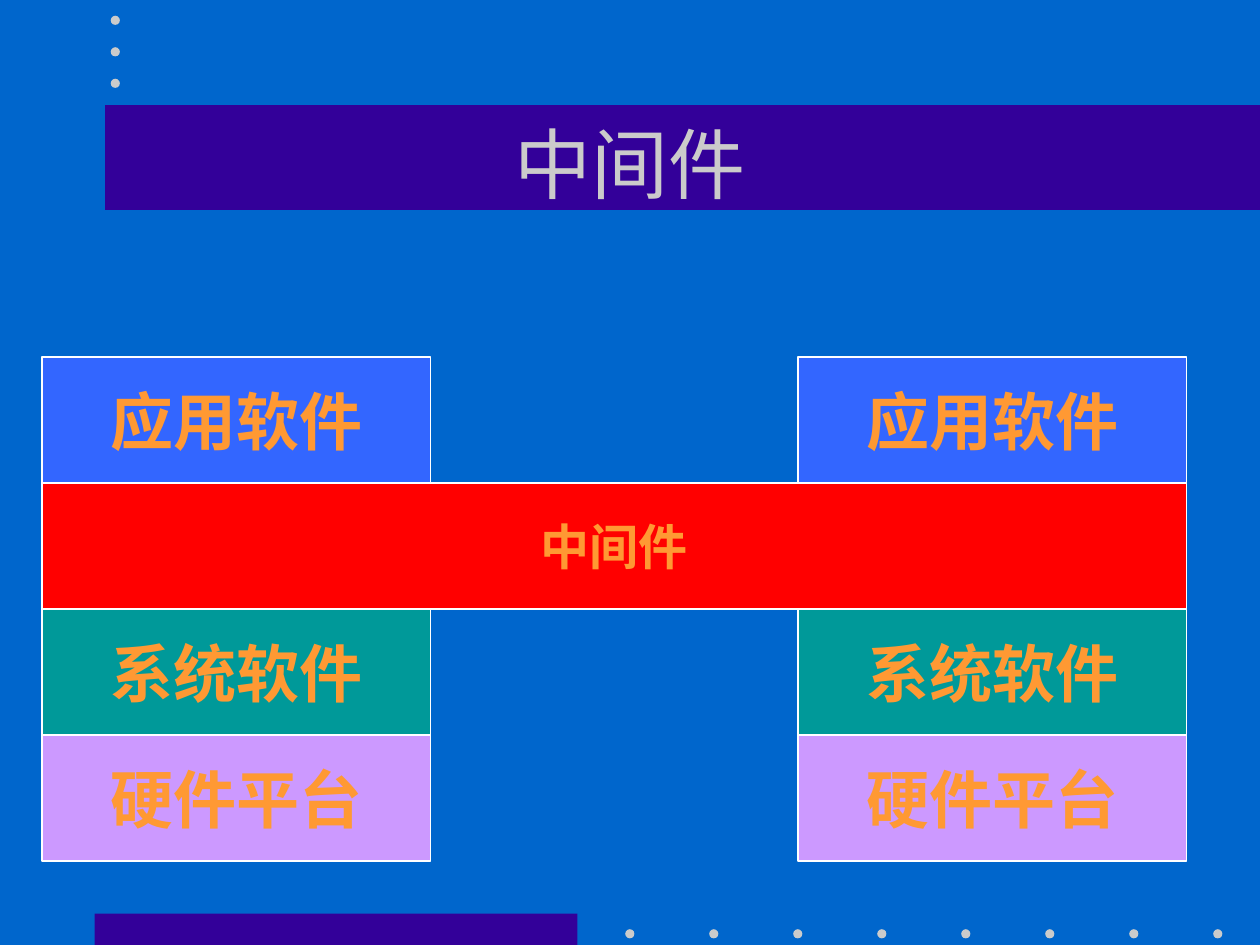
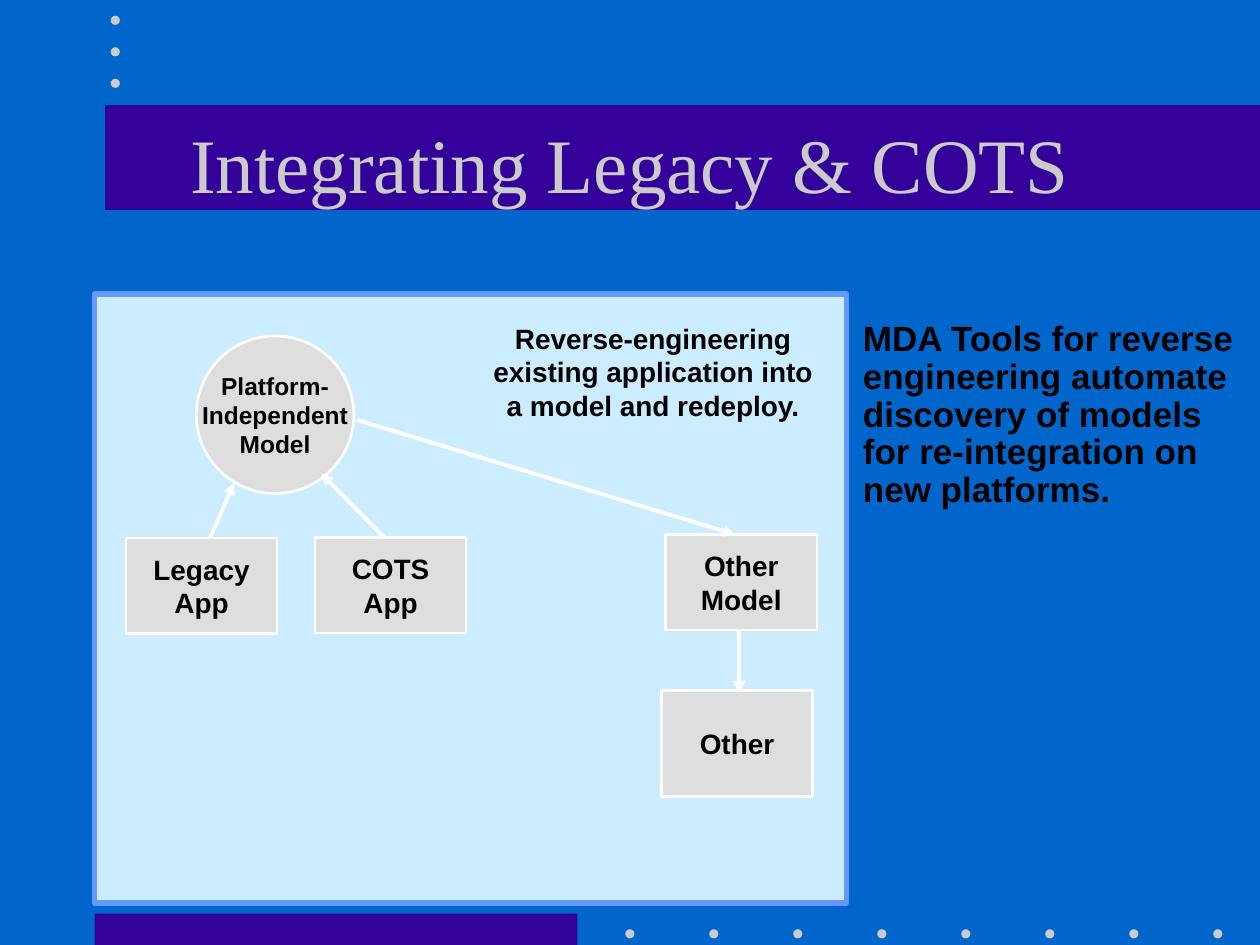
from dataclasses import dataclass

from lxml import etree
from pptx import Presentation
from pptx.dml.color import RGBColor
from pptx.enum.shapes import MSO_CONNECTOR as Connector, MSO_SHAPE as Shape
from pptx.enum.text import MSO_ANCHOR as Anchor, PP_ALIGN as Align
from pptx.oxml.ns import qn
from pptx.util import Inches, Pt

COLUMNS, ROWS = 120, 90
WIDTH, HEIGHT = Inches(10), Inches(7.5)

BLUE, INDIGO, SILVER, WHITE, BLACK = "0066CC", "330099", "CBCBCB", "FFFFFF", "000000"
ORANGE, RED, GREY = "FF9933", "FF0000", "DEDEDE"

TITLE_FONT = {"name": "Times New Roman", "size": Pt(44), "color": SILVER}
LAYER_FONT = {"name": "Cabin", "size": Pt(36), "bold": True, "color": ORANGE}
MIDDLE_FONT = LAYER_FONT | {"size": Pt(28)}
LABEL_FONT = {"name": "Arial", "size": Pt(16), "bold": True, "color": BLACK}
MODEL_FONT = LABEL_FONT | {"size": Pt(14)}
POINT_FONT = LABEL_FONT | {"size": Pt(20)}


@dataclass
class Box:
    """An area in columns and rows of the slide grid."""
    left: float
    top: float
    width: float
    height: float

    def area(self, left, top, width, height):
        return Box(self.left + left, self.top + top, width, height)

    def point(self, column, row):
        return to_length(self.left + column, self.top + row)

    def frame(self):
        return *to_length(self.left, self.top), *to_length(self.width, self.height)


SLIDE_BOX = Box(0, 0, COLUMNS, ROWS)


def to_length(columns, rows):
    return round(WIDTH * columns / COLUMNS), round(HEIGHT * rows / ROWS)


def color(hex_string):
    return RGBColor.from_string(hex_string)


def format_text(text_frame, text, font, align=Align.CENTER, spacing=None):
    text_frame.text = text
    for paragraph in text_frame.paragraphs:
        paragraph.alignment = align
        if spacing:
            paragraph.line_spacing = spacing
        for name, value in font.items():
            if name == "color":
                paragraph.font.color.rgb = color(value)
            else:
                setattr(paragraph.font, name, value)


def add_block(slide, box, fill, line=None, line_width=0.75, kind=Shape.RECTANGLE):
    shape = slide.shapes.add_shape(kind, *box.frame())
    shape.shadow.inherit = False
    shape.fill.solid()
    shape.fill.fore_color.rgb = color(fill)
    if line:
        shape.line.color.rgb = color(line)
        shape.line.width = Pt(line_width)
    else:
        shape.line.fill.background()
    return shape


def add_labelled_block(slide, box, text, font, fill, **style):
    shape = add_block(slide, box, fill, WHITE, **style)
    shape.text_frame.word_wrap = False
    shape.text_frame.vertical_anchor = Anchor.MIDDLE
    format_text(shape.text_frame, text, font)


def add_text(slide, box, text, font, **style):
    text_frame = slide.shapes.add_textbox(*box.frame()).text_frame
    text_frame.word_wrap = True
    format_text(text_frame, text, font, **style)


def add_arrow(slide, box, start, end):
    arrow = slide.shapes.add_connector(
        Connector.STRAIGHT, *box.point(*start), *box.point(*end))
    arrow.line.color.rgb = color(WHITE)
    arrow.line.width = Pt(2.25)
    properties = arrow.element.spPr
    etree.SubElement(properties.find(qn("a:ln")), qn("a:tailEnd"), type="triangle")
    etree.SubElement(properties, qn("a:effectLst"))


def decorate_layout(layout, slide, box):
    """Draw the bands and dots on the slide, then move them to its layout."""
    dot = 0.87
    shapes = [add_block(slide, box.area(9, 87, 46, 3), INDIGO),
              add_block(slide, box.area(10, 10, 110, 10), INDIGO)]
    dots = [(59.55 + 8 * index, 88.5) for index in range(8)]
    dots += [(10.55, 1.5 + 3 * index) for index in range(3)]
    for left, top in dots:
        shapes.append(add_block(slide, box.area(left, top, dot, dot), SILVER,
                                kind=Shape.OVAL))
    for index, shape in enumerate(shapes):
        shape.element.nvSpPr.cNvPr.set("id", str(100 + index))
        layout.shapes.element.insert(2 + index, shape.element)


def add_titled_slide(presentation, layout, title):
    slide = presentation.slides.add_slide(layout)
    placeholder = slide.shapes.title
    frame = SLIDE_BOX.area(9, 8, 102, 15).frame()
    for name, value in zip(("left", "top", "width", "height"), frame):
        setattr(placeholder, name, value)
    placeholder.text_frame.vertical_anchor = Anchor.MIDDLE
    format_text(placeholder.text_frame, title, TITLE_FONT)
    return slide


def draw_middleware_stacks(slide, box):
    """Two stacks of layers, joined by the middleware bar in the second row."""
    row_height, stack_width = box.height / 4, 37
    layers = {0: ("应用软件", "3366FF"), 2: ("系统软件", "009999"), 3: ("硬件平台", "CC99FF")}
    for left in (0, box.width - stack_width):
        for row, (text, fill) in layers.items():
            layer = box.area(left, row * row_height, stack_width, row_height)
            add_labelled_block(slide, layer, text, LAYER_FONT, fill)
    bar = box.area(0, row_height, box.width, row_height)
    add_labelled_block(slide, bar, "中间件", MIDDLE_FONT, RED)


def draw_integration_panel(slide, box):
    add_block(slide, box, "CCECFF", "6699FF", 3)
    add_labelled_block(slide, box.area(9.7, 4, 15, 15), "Platform-\vIndependent\nModel",
                       MODEL_FONT, GREY, line_width=1.5, kind=Shape.OVAL)
    boxes = [("Legacy\nApp", 3, 23.25, 9.1), ("COTS\nApp", 21, 23.2, 9.1),
             ("Other\vModel", 54.4, 22.9, 9.1), ("Other", 54, 37.75, 10.1)]
    for text, left, top, height in boxes:
        add_labelled_block(slide, box.area(left, top, 14.4, height), text,
                           LABEL_FONT, GREY, line_width=1.5)
    arrows = [((11, 23.25), (13.3, 18)), ((27.6, 23.2), (21.6, 17.1)),
              ((25, 12), (61, 22.9)), ((61.4, 32), (61.4, 38))]
    for start, end in arrows:
        add_arrow(slide, box, start, end)
    add_text(slide, box.area(36.7, 2, 33, 10.8),
             "Reverse-engineering existing application into a model and redeploy.",
             LABEL_FONT)


def draw_tools_point(slide, box):
    add_text(slide, box,
             "MDA Tools for reverse engineering automate discovery of models "
             "for re-integration on new platforms.",
             POINT_FONT, align=Align.LEFT, spacing=0.9)


def main():
    presentation = Presentation()
    presentation.slide_width, presentation.slide_height = WIDTH, HEIGHT
    background = presentation.slide_master.background.fill
    background.solid()
    background.fore_color.rgb = color(BLUE)
    layout = presentation.slide_layouts.get_by_name("Title Only")

    middleware = add_titled_slide(presentation, layout, "中间件")
    decorate_layout(layout, middleware, SLIDE_BOX)
    draw_middleware_stacks(middleware, SLIDE_BOX.area(4, 34, 109, 48))

    integration = add_titled_slide(presentation, layout, "Integrating Legacy & COTS")
    draw_integration_panel(integration, SLIDE_BOX.area(9, 28, 71.6, 58))
    draw_tools_point(integration, SLIDE_BOX.area(81, 30, 39, 19.2))

    presentation.save("out.pptx")


if __name__ == "__main__":
    main()
